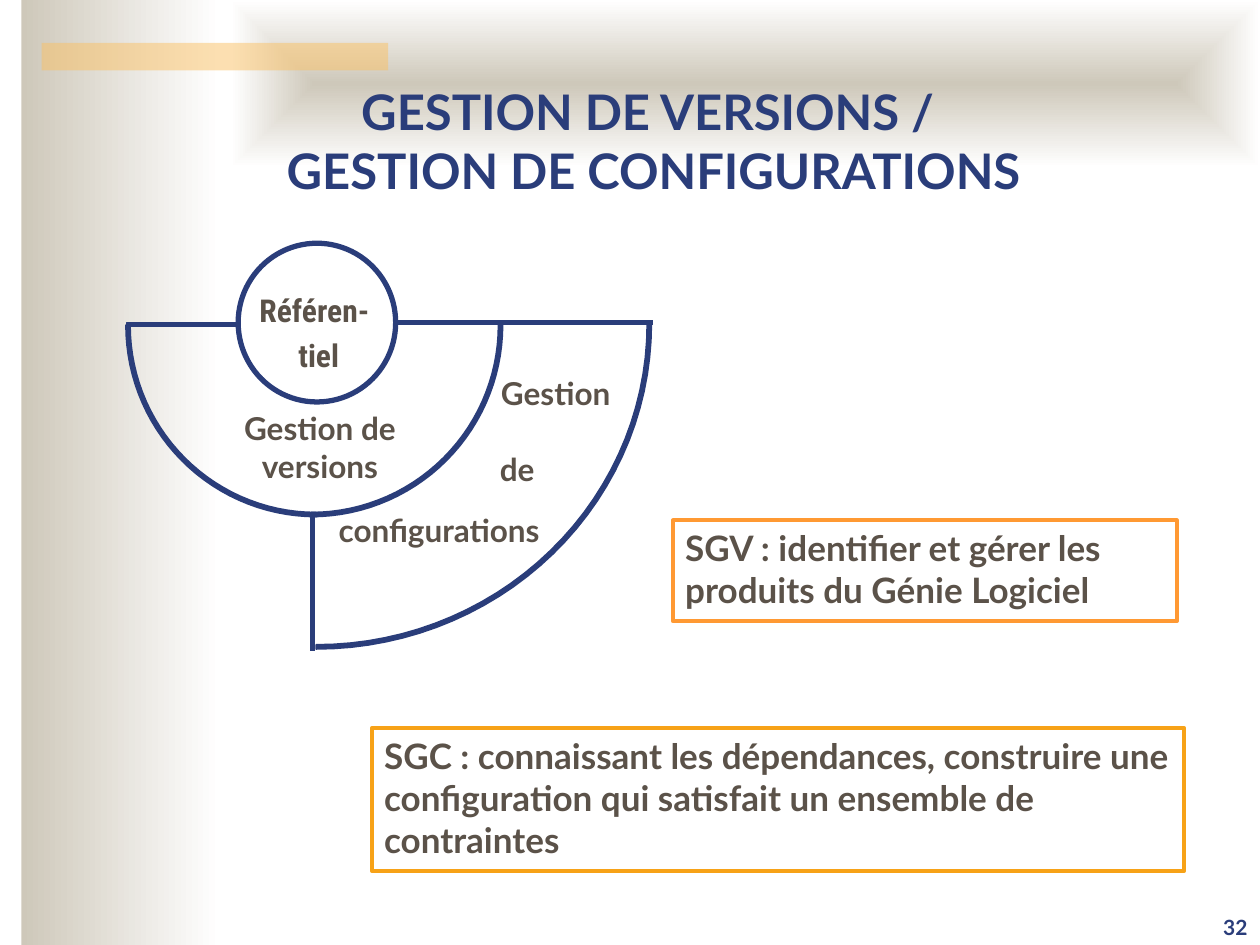
from dataclasses import dataclass
from math import cos, radians, sin

from lxml.etree import SubElement
from pptx import Presentation
from pptx.dml.color import RGBColor
from pptx.enum.shapes import MSO_CONNECTOR, MSO_SHAPE
from pptx.enum.text import MSO_ANCHOR, MSO_AUTO_SIZE, PP_ALIGN
from pptx.oxml.ns import qn
from pptx.util import Pt

COLORS = {
    "navy": "2A3D7A", "text": "5B5249", "sand": "CEC8BA", "white": "FFFFFF",
    "band": "FAC164", "orange": "FF9933", "amber": "F7A217",
}


@dataclass
class Label:
    text: str
    left: float
    top: float
    width: float
    height: float
    font: str = "Lato"


@dataclass
class Arc:
    """A quarter ring, from a start angle measured clockwise from the right."""
    center_x: float
    center_y: float
    radius_x: float
    radius_y: float
    start: int


@dataclass
class Definition:
    text: str
    left: float
    top: float
    width: float
    height: float
    color: str


LABELS = [
    Label("Référen-", 147.6, 166.3, 64.1, 21.6, "Roboto Condensed"),
    Label("tiel", 169.9, 192.2, 24.5, 21.6, "Roboto Condensed"),
    Label("Gestion de\nversions", 134.6, 234, 96.5, 43.2),
    Label("Gestion", 283, 213.8, 69.1, 21.6),
    Label("de", 284.4, 257, 22.3, 21.6),
    Label("configurations", 185.8, 292.3, 130.3, 21.6),
]
ARCS = [
    Arc(177.8, 185.8, 109.4, 109.4, 0),
    Arc(180.7, 185.8, 108.7, 109.4, 90),
    Arc(180.7, 185, 191.5, 185.8, 0),
]
LINES = [(178.6, 293, 178.6, 372.2), (226.1, 184.3, 373, 184.3)]
DEFINITIONS = [
    Definition("SGV : identifier et gérer les produits du Génie Logiciel",
               384.5, 297.4, 288, 57.6, "orange"),
    Definition("SGC : connaissant les dépendances, construire une configuration "
               "qui satisfait un ensemble de contraintes",
               212.4, 416.2, 464.4, 81.4, "amber"),
]


def rgb(name: str) -> RGBColor:
    return RGBColor.from_string(COLORS[name])


def format_text(frame, size: float, color: str, align, font: str = "Lato") -> None:
    for para in frame.paragraphs:
        para.alignment = align
        for span in para.runs:
            span.font.name = font
            span.font.size = Pt(size)
            span.font.bold = True
            span.font.color.rgb = rgb(color)


def paint(shape, fill: str = "", line: str = "", weight: float = 1) -> None:
    shape.shadow.inherit = False
    if fill:
        shape.fill.solid()
        shape.fill.fore_color.rgb = rgb(fill)
    else:
        shape.fill.background()
    if line:
        shape.line.color.rgb = rgb(line)
        shape.line.width = Pt(weight)
    else:
        shape.line.fill.background()


def add_preset(slide, kind, left: float, top: float, width: float, height: float):
    return slide.shapes.add_shape(kind, Pt(left), Pt(top), Pt(width), Pt(height))


def add_fade(slide, left: float, top: float, width: float, height: float):
    panel = add_preset(slide, MSO_SHAPE.RECTANGLE, left, top, width, height)
    paint(panel)
    panel.fill.gradient()
    panel.fill.gradient_angle = 0
    for stop, name in zip(panel.fill.gradient_stops, ("sand", "white")):
        stop.color.rgb = rgb(name)
    return panel


def add_background(slide) -> None:
    add_fade(slide, 12.2, 0, 113.8, 540)
    top_panel = add_fade(slide, 131.8, 0, 588.2, 95.8)
    gradient = top_panel._element.spPr.find(qn("a:gradFill"))
    gradient.remove(gradient.find(qn("a:lin")))
    shading = SubElement(gradient, qn("a:path"), {"path": "shape"})
    SubElement(shading, qn("a:fillToRect"), dict.fromkeys("ltrb", "50000"))

    band = add_preset(slide, MSO_SHAPE.RECTANGLE, 23.8, 24.5, 198, 15.8)
    paint(band, "band")
    color = band._element.spPr.find(qn("a:solidFill"))[0]
    SubElement(color, qn("a:alpha"), {"val": "50000"})


def add_arc(slide, arc: Arc, thickness: float = 2.3) -> None:
    def edge(inset: float) -> list:
        angles = [radians(arc.start + step) for step in range(0, 91, 3)]
        return [(Pt(arc.center_x + (arc.radius_x - inset) * cos(angle)),
                 Pt(arc.center_y + (arc.radius_y - inset) * sin(angle)))
                for angle in angles]

    points = edge(0) + edge(thickness)[::-1]
    builder = slide.shapes.build_freeform(*points[0], scale=1.0)
    builder.add_line_segments(points[1:], close=True)
    paint(builder.convert_to_shape(), "navy", "navy")


def add_line(slide, x1: float, y1: float, x2: float, y2: float) -> None:
    line = slide.shapes.add_connector(
        MSO_CONNECTOR.STRAIGHT, Pt(x1), Pt(y1), Pt(x2), Pt(y2))
    line.line.color.rgb = rgb("navy")
    line.line.width = Pt(3)
    SubElement(line._element.spPr, qn("a:effectLst"))


def add_label(slide, label: Label) -> None:
    box = slide.shapes.add_textbox(
        Pt(label.left), Pt(label.top), Pt(label.width), Pt(label.height))
    frame = box.text_frame
    frame.margin_left = frame.margin_right = frame.margin_top = frame.margin_bottom = 0
    frame.word_wrap = False
    frame.auto_size = MSO_AUTO_SIZE.SHAPE_TO_FIT_TEXT
    frame.text = label.text
    format_text(frame, 18, "text", PP_ALIGN.CENTER, label.font)


def add_definition(slide, item: Definition) -> None:
    box = add_preset(slide, MSO_SHAPE.RECTANGLE,
                     item.left, item.top, item.width, item.height)
    paint(box, line=item.color, weight=2.25)
    frame = box.text_frame
    frame.word_wrap = True
    frame.vertical_anchor = MSO_ANCHOR.TOP
    frame.auto_size = MSO_AUTO_SIZE.SHAPE_TO_FIT_TEXT
    frame.text = item.text
    format_text(frame, 20, "text", PP_ALIGN.LEFT)


def add_title(slide) -> None:
    title = slide.shapes.title
    title.left, title.top, title.width, title.height = Pt(64), Pt(27.4), Pt(612), Pt(90)
    frame = title.text_frame
    frame.auto_size = MSO_AUTO_SIZE.NONE
    frame.vertical_anchor = MSO_ANCHOR.BOTTOM
    frame.text = "GESTION DE VERSIONS /\v GESTION DE CONFIGURATIONS"
    format_text(frame, 28, "navy", PP_ALIGN.CENTER)
    # Bring the title in front of the background
    slide.shapes._spTree.append(title._element)


def add_page_number(slide) -> None:
    box = slide.shapes.add_textbox(Pt(648), Pt(504.7), Pt(72), Pt(36))
    frame = box.text_frame
    frame.word_wrap = True
    frame.vertical_anchor = MSO_ANCHOR.BOTTOM
    frame.text = "32"
    format_text(frame, 12, "navy", PP_ALIGN.RIGHT)


def main() -> None:
    deck = Presentation()
    deck.slide_width, deck.slide_height = Pt(720), Pt(540)
    slide = deck.slides.add_slide(deck.slide_layouts[5])

    # Background, page number and title
    add_background(slide)
    add_page_number(slide)
    add_title(slide)

    # Repository circle and the rings around it
    circle = add_preset(slide, MSO_SHAPE.OVAL, 136.1, 139, 90, 90.7)
    paint(circle, line="navy", weight=3)
    for arc in ARCS:
        add_arc(slide, arc)
    left_edge = add_preset(slide, MSO_SHAPE.RECTANGLE, 72.7, 184.3, 62.6, 2.2)
    paint(left_edge, "navy", "navy")
    for ends in LINES:
        add_line(slide, *ends)

    # Labels and definitions
    for label in LABELS:
        add_label(slide, label)
    for item in DEFINITIONS:
        add_definition(slide, item)

    deck.save("out.pptx")


if __name__ == "__main__":
    main()
